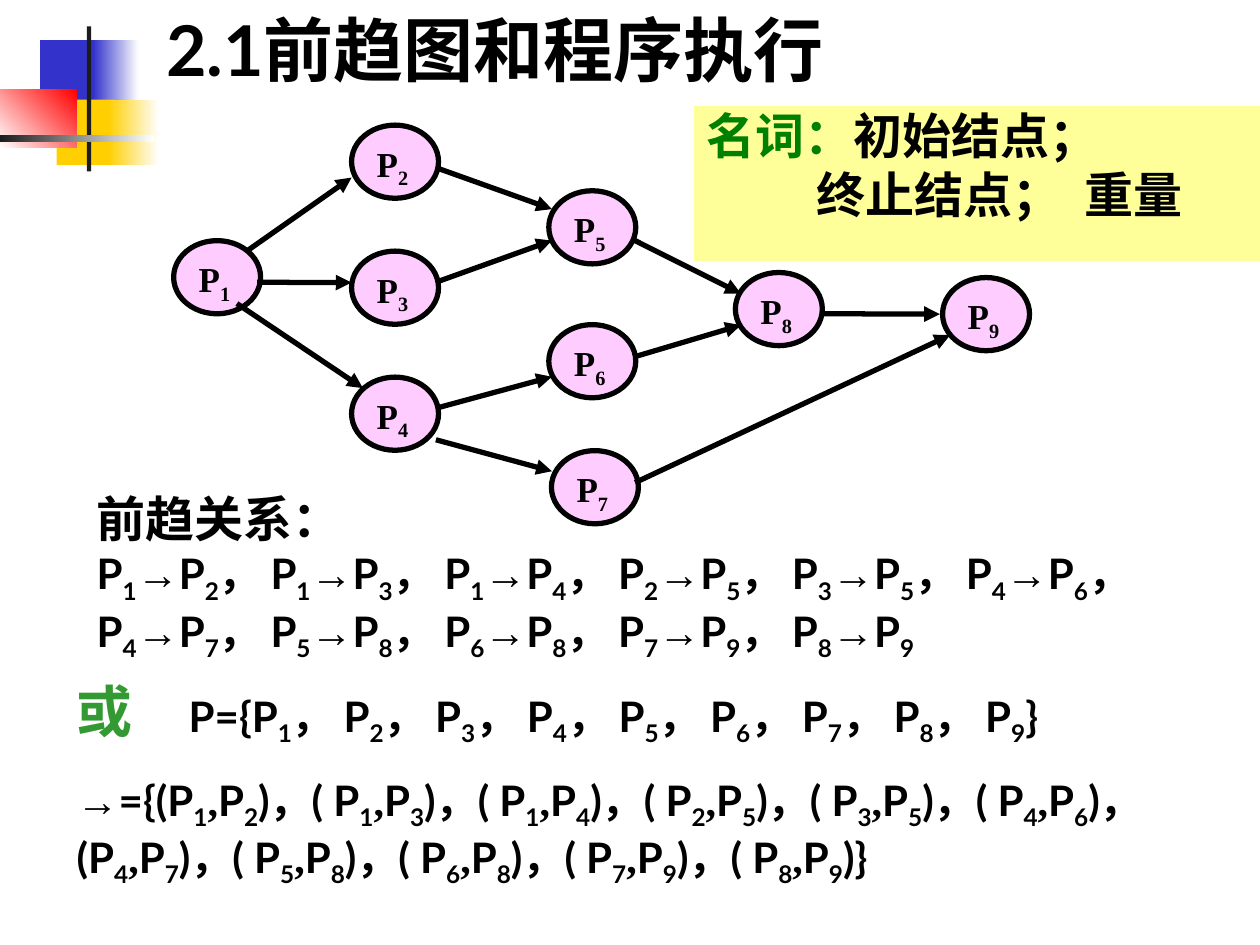
from itertools import groupby
from typing import NamedTuple

import pptx
import pptx.dml.color
import pptx.enum.shapes
import pptx.enum.text
import pptx.oxml
import pptx.oxml.ns
import pptx.util

Pt = pptx.util.Pt
Shapes = pptx.enum.shapes.MSO_SHAPE
Align = pptx.enum.text.PP_ALIGN
Anchor = pptx.enum.text.MSO_ANCHOR

COLORS = {
    "black": "000000", "white": "FFFFFF", "blue": "3333CC", "gold": "FFCF01",
    "red": "FF0000", "charcoal": "1C1C1C", "pink": "FFCCFF", "note": "FFFF99",
    "term": "008000", "or": "339933",
}
NODE_WIDTH, NODE_HEIGHT = 49.7, 41.8


class Block(NamedTuple):
    left: float
    top: float
    width: float
    height: float
    start: str
    end: str = ""  # a second colour makes a gradient
    angle: float = 0


class Node(NamedTuple):
    label: str
    left: float
    top: float


class Arrow(NamedTuple):
    x1: float
    y1: float
    x2: float
    y2: float


BLOCKS = [
    Block(23, 23, 34.6, 37.4, "blue"),
    Block(53.3, 23, 25.9, 37.4, "blue", "white"),
    Block(32.4, 56.9, 33.1, 37.4, "gold"),
    Block(61.9, 56.9, 28.8, 37.4, "gold", "white"),
    Block(0, 51.1, 44, 33.1, "white", "red", 45),
    Block(49.7, 15.1, 2.5, 82.8, "charcoal"),
    Block(0, 77, 87.8, 4.3, "charcoal", "white"),
]
NODES = [
    Node("P1", 99.2, 137.5), Node("P2", 200.9, 71.5), Node("P3", 200.9, 143.5),
    Node("P4", 200.9, 215.5), Node("P5", 313.6, 109), Node("P6", 313.6, 185.5),
    Node("P7", 315.1, 257.5), Node("P8", 420.2, 155.7), Node("P9", 538.6, 158.6),
]
ARROWS = [
    Arrow(141, 143.5, 200.9, 101.5), Arrow(147, 161.3, 200.9, 161.5),
    Arrow(135.4, 173.5, 207.4, 221.8), Arrow(249.1, 95.8, 315.4, 119.5),
    Arrow(249.1, 161.3, 315.4, 137.5), Arrow(362.9, 137.5, 423.4, 167.8),
    Arrow(249.1, 233.3, 315.4, 215.3), Arrow(249.1, 251.3, 315.4, 269.3),
    Arrow(362.9, 275.8, 542.9, 191.5), Arrow(362.9, 203.8, 423.4, 185.8),
    Arrow(470.9, 179.3, 537.1, 179.5),
]
EDGES = ["12", "13", "14", "25", "35", "46", "47", "58", "68", "79", "89"]


def rgb(name: str) -> pptx.dml.color.RGBColor:
    return pptx.dml.color.RGBColor.from_string(COLORS[name])


def style(para, size: float, font: str = "Lato") -> None:
    para.font.name = font
    para.font.size = Pt(size)
    para.font.bold = True
    para.font.color.rgb = rgb("black")


def set_tabs(para, *stops: float) -> None:
    tabs = pptx.oxml.ns.qn("a:tabLst")
    tab_list = para._p.get_or_add_pPr().makeelement(tabs)
    for stop in stops:
        tab = tab_list.makeelement(pptx.oxml.ns.qn("a:tab"), {"pos": str(int(Pt(stop))), "algn": "l"})
        tab_list.append(tab)
    para._p.get_or_add_pPr().append(tab_list)


def add_span(para, text: str, color: str = "", size: float = 0):
    span = para.add_run()
    span.text = text
    if color:
        span.font.color.rgb = rgb(color)
    if size:
        span.font.size = Pt(size)
    return span


def add_formula(para, text: str) -> None:
    """Digits become subscripts; arrows and plain commas have their own fonts."""
    fonts = {"→": "Arial", ",": "Times New Roman"}
    for kind, chars in groupby(text, lambda c: "sub" if c.isdigit() else fonts.get(c, "")):
        span = add_span(para, "".join(chars))
        if kind == "sub":
            span._r.get_or_add_rPr().set("baseline", "-25000")
        elif kind:
            span.font.name = kind


def add_solid(page, kind, left: float, top: float, width: float, height: float, color: str):
    box = page.shapes.add_shape(kind, Pt(left), Pt(top), Pt(width), Pt(height))
    box.shadow.inherit = False
    box.line.fill.background()
    box.fill.solid()
    box.fill.fore_color.rgb = rgb(color)
    box.text_frame.word_wrap = True
    box.text_frame.vertical_anchor = Anchor.TOP
    return box


def add_block(page, block: Block) -> None:
    box = add_solid(page, Shapes.RECTANGLE, *block[:5])
    if block.end:
        box.fill.gradient()
        box.fill.gradient_angle = block.angle
        for stop, name in zip(box.fill.gradient_stops, (block.start, block.end)):
            stop.color.rgb = rgb(name)


def add_node(page, node: Node) -> None:
    oval = add_solid(page, Shapes.OVAL, node.left, node.top, NODE_WIDTH, NODE_HEIGHT, "pink")
    oval.line.color.rgb = rgb("black")
    oval.line.width = Pt(3)
    para = oval.text_frame.paragraphs[0]
    para.alignment = Align.JUSTIFY
    style(para, 20, "Times New Roman")
    add_formula(para, node.label)


def add_arrow(page, arrow: Arrow) -> None:
    line = page.shapes.add_connector(
        pptx.enum.shapes.MSO_CONNECTOR.STRAIGHT, *(Pt(value) for value in arrow))
    line.line.color.rgb = rgb("black")
    line.line.width = Pt(3)
    head = pptx.oxml.ns.qn("a:tailEnd")
    outline = line.line._get_or_add_ln()
    outline.append(outline.makeelement(head, {"type": "triangle"}))
    properties = line._element.spPr
    properties.append(properties.makeelement(pptx.oxml.ns.qn("a:effectLst")))


def add_text(page, left: float, top: float, width: float, height: float):
    box = page.shapes.add_textbox(Pt(left), Pt(top), Pt(width), Pt(height))
    box.text_frame.word_wrap = True
    return box.text_frame


def main() -> None:
    deck = pptx.Presentation()
    deck.slide_width, deck.slide_height = Pt(720), Pt(540)
    page = deck.slides.add_slide(deck.slide_layouts[5])

    # Corner decoration, behind the title
    title = page.shapes.title
    for block in BLOCKS:
        add_block(page, block)

    # Title
    title.left, title.top, title.width, title.height = Pt(87.8), Pt(0), Pt(613.4), Pt(55.4)
    title.text_frame.text = "2.1前趋图和程序执行"
    title.text_frame.vertical_anchor = Anchor.BOTTOM
    para = title.text_frame.paragraphs[0]
    para.alignment = Align.LEFT
    style(para, 40)

    # Precedence graph
    for node in NODES:
        add_node(page, node)
    for arrow in ARROWS:
        add_arrow(page, arrow)

    # Precedence relations
    frame = add_text(page, 48.2, 275.8, 640.8, 106.6)
    para = frame.paragraphs[0]
    style(para, 28)
    add_span(para, "前趋关系：")
    para = frame.add_paragraph()
    style(para, 24)
    add_formula(para, "， ".join(f"P{a}→P{b}" for a, b in EDGES))

    # The same graph as sets
    frame = add_text(page, 36.7, 383, 683.3, 128.9)
    para = frame.paragraphs[0]
    set_tabs(para, 64)
    style(para, 24)
    add_span(para, "或", "or", 32)
    add_span(para, "\t")
    add_formula(para, "P={" + "， ".join(node.label for node in NODES) + "}")
    para = frame.add_paragraph()
    para.space_before = Pt(15)
    style(para, 24)
    pairs = "，( ".join(f"P{a},P{b})" for a, b in EDGES)
    add_formula(para, "→={(" + pairs.replace("( P4,P7", "(P4,P7") + "}")

    # Terms
    frame = add_solid(page, Shapes.RECTANGLE, 396.7, 60.5, 323.3, 88.6, "note").text_frame
    para = frame.paragraphs[0]
    second = frame.add_paragraph()
    second.space_before = Pt(3.5)
    set_tabs(second, 63, 216)
    for line in (para, second):
        line.alignment = Align.LEFT
        line.line_spacing = 0.9
        style(line, 28)
    add_span(para, "名词：", "term")
    add_span(para, "初始结点；")
    add_span(second, "\t终止结点；\t重量")

    deck.save("out.pptx")


if __name__ == "__main__":
    main()
